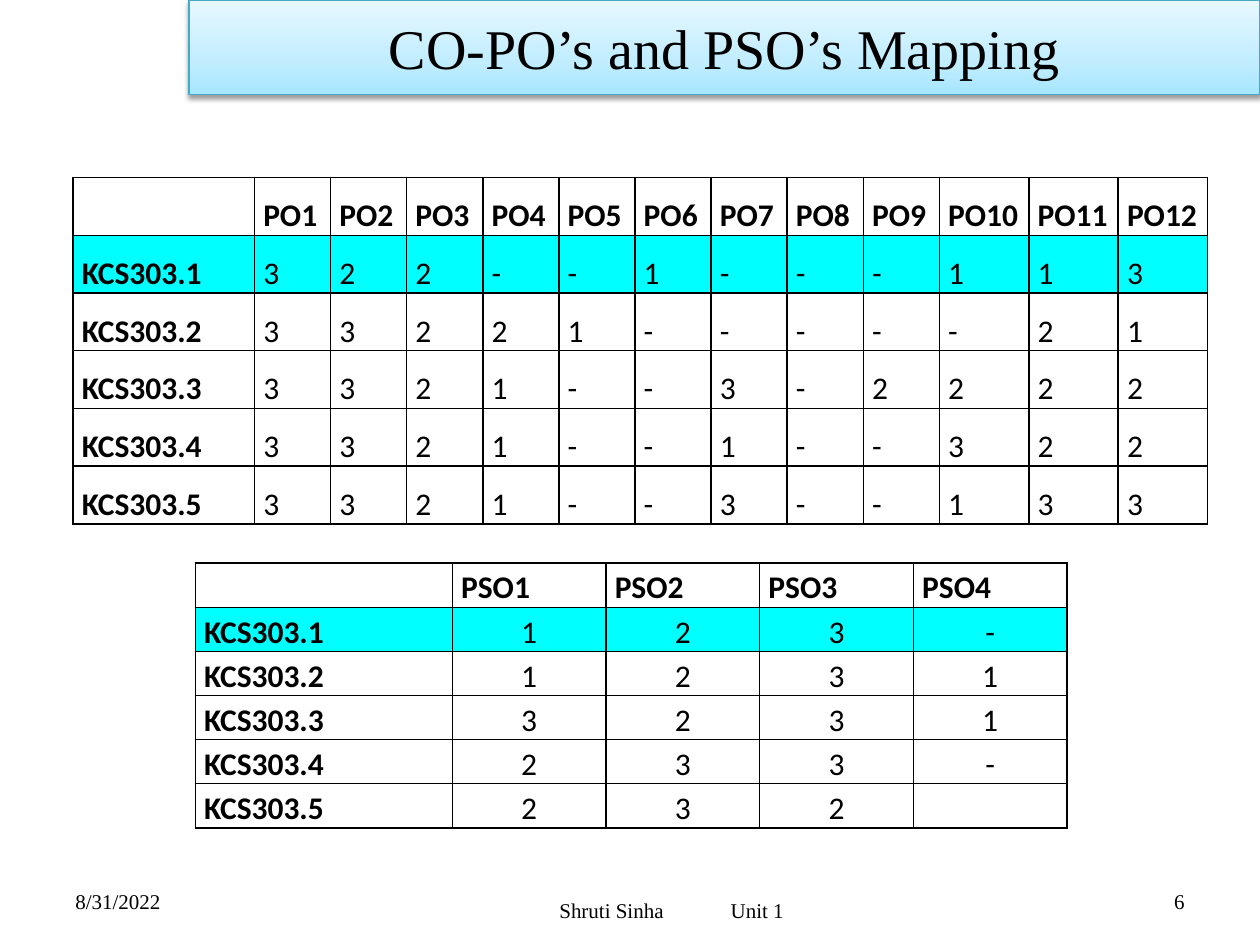
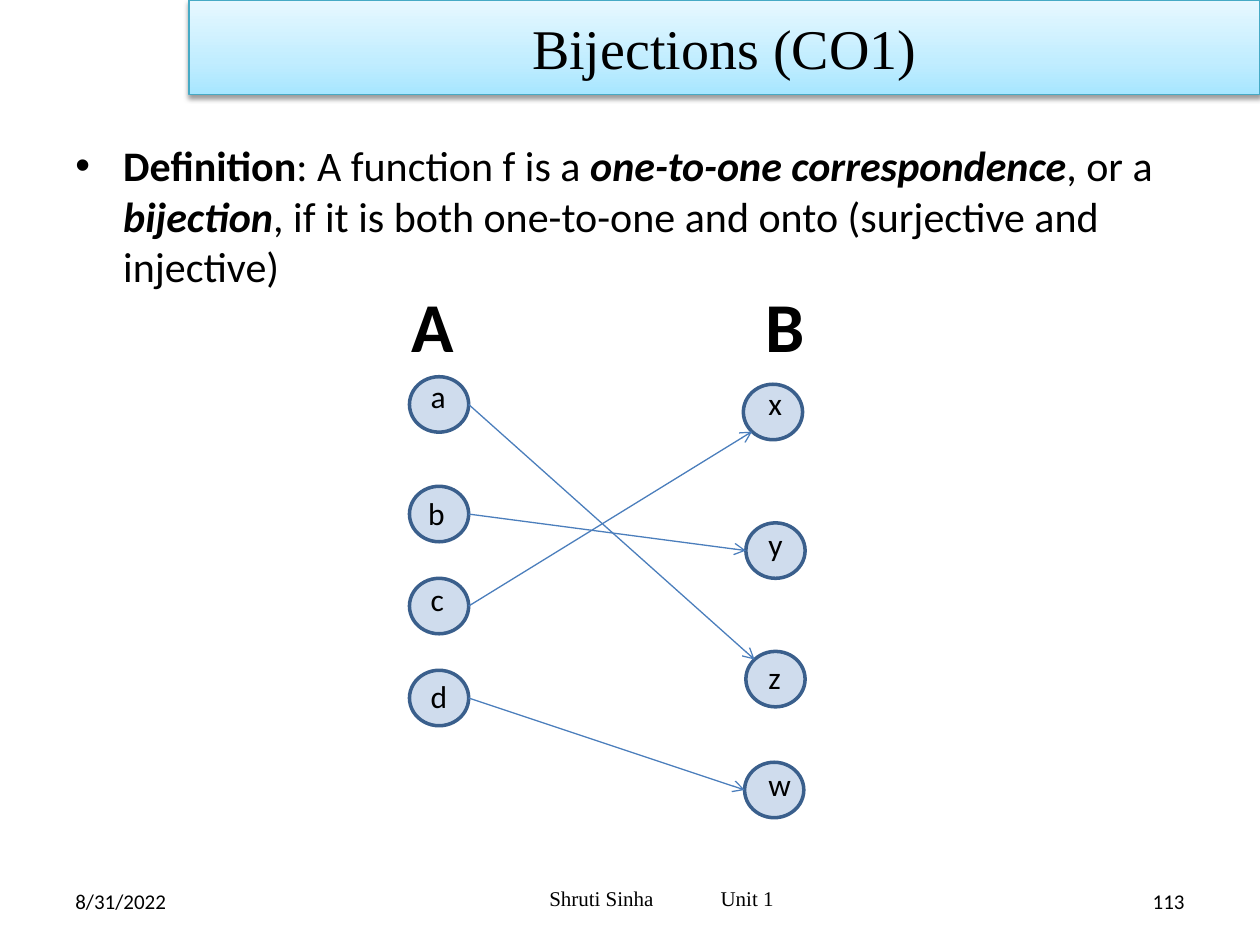
import dataclasses
import math

import lxml.etree
import pptx
import pptx.dml.color
import pptx.enum.shapes
import pptx.enum.text
import pptx.oxml
import pptx.oxml.ns
import pptx.util


@dataclasses.dataclass(frozen=True)
class Theme:
    serif: str = "Times New Roman"
    sans: str = "Calibri"
    title: int = 32
    set_name: int = 40
    body: int = 24
    label: int = 18
    footer: int = 12
    ink: str = "000000"
    highlight: str = "00FFFF"
    band_line: str = "46AAC5"
    band_stops: tuple = ((0, "A7E6FF"), (35, "C1EDFF"), (100, "E7F8FF"))
    node_fill: str = "4F81BD"
    node_line: str = "3A5F8C"
    arrow: str = "4B7EBC"


theme = Theme()
color = pptx.dml.color.RGBColor.from_string
qn = pptx.oxml.ns.qn
subelement = lxml.etree.SubElement
align = pptx.enum.text.PP_ALIGN
middle = pptx.enum.text.MSO_ANCHOR.MIDDLE
shape_type = pptx.enum.shapes.MSO_SHAPE
namespace = 'xmlns:a="http://schemas.openxmlformats.org/drawingml/2006/main"'

presentation = pptx.Presentation()
presentation.slide_width = pptx.util.Inches(10)
presentation.slide_height = pptx.util.Inches(7.5)
column = presentation.slide_width / 100
row = presentation.slide_height / 75


def grid(left, top, width, height):
    return [round(left * column), round(top * row), round(width * column), round(height * row)]


def write(frame, text, size=theme.label, font=theme.sans, bold=False, italic=False,
          alignment=align.LEFT, anchor=None, spacing=None, after=None):
    frame.word_wrap = True
    if anchor is not None:
        frame.vertical_anchor = anchor
    paragraph = frame.paragraphs[0]
    paragraph.alignment = alignment
    if spacing:
        paragraph.line_spacing = spacing
    if after:
        paragraph.space_after = pptx.util.Pt(after)
    run = paragraph.add_run()
    run.text = text
    run.font.size = pptx.util.Pt(size)
    run.font.name = font
    run.font.bold = bold
    run.font.italic = italic
    run.font.color.rgb = color(theme.ink)
    return paragraph


slides = []
for title, number, footer_font, footer_left, footer_top in (
    ("CO-PO’s and PSO’s Mapping", "6", theme.serif, 25.8, 70.2),
    ("Bijections (CO1)", "113", theme.sans, 25, 69.3),
):
    slide = presentation.slides.add_slide(presentation.slide_layouts[6])
    slides.append(slide)

    band = slide.shapes.add_shape(shape_type.RECTANGLE, *grid(15, 0, 85, 7.5))
    band.line.color.rgb = color(theme.band_line)
    band.line.width = pptx.util.Pt(0.75)
    stops = "".join(
        f'<a:gs pos="{position * 1000}"><a:srgbClr val="{shade}"/></a:gs>'
        for position, shade in theme.band_stops
    )
    gradient = pptx.oxml.parse_xml(
        f'<a:gradFill {namespace} rotWithShape="1"><a:gsLst>{stops}</a:gsLst>'
        '<a:lin ang="16200000" scaled="0"/></a:gradFill>'
    )
    properties = band._element.spPr
    properties.find(qn("a:ln")).addprevious(gradient)
    band.shadow.inherit = False
    properties.find(qn("a:effectLst")).append(pptx.oxml.parse_xml(
        f'<a:outerShdw {namespace} blurRad="{pptx.util.Pt(3.1)}" dist="{pptx.util.Pt(1.6)}"'
        f' dir="5400000" rotWithShape="0"><a:srgbClr val="{theme.ink}">'
        '<a:alpha val="38000"/></a:srgbClr></a:outerShdw>'
    ))
    write(band.text_frame, title, size=theme.title, font=theme.serif,
          alignment=align.CENTER, anchor=middle)

    for left, text, alignment in ((5, "8/31/2022", align.LEFT), (71.7, number, align.RIGHT)):
        footer = slide.shapes.add_textbox(*grid(left, 69.5, 23.3, 4))
        write(footer.text_frame, text, size=theme.footer, font=footer_font,
              alignment=alignment, anchor=middle)

    author = slide.shapes.add_textbox(*grid(footer_left, footer_top, 55, 4))
    author.text_frame.margin_left = round(18.6 * column)
    paragraph = write(author.text_frame, "Shruti Sinha\tUnit 1", size=theme.footer,
                      font=theme.serif, anchor=middle)
    tabs = subelement(paragraph._p.get_or_add_pPr(), qn("a:tabLst"))
    subelement(tabs, qn("a:tab"), pos=str(round(13.6 * column)), algn="l")

mapping_slide, bijection_slide = slides

program_outcomes = ("3 2 2 - - 1 - - - 1 1 3", "3 3 2 2 1 - - - - - 2 1",
                    "3 3 2 1 - - 3 - 2 2 2 2", "3 3 2 1 - - 1 - - 3 2 2",
                    "3 3 2 1 - - 3 - - 1 3 3")
specific_outcomes = ("1 2 3 -", "1 2 3 1", "3 2 3 1", "2 3 3 -", "2 3 2")

for prefix, scores, left, top, row_height, widths, spacing, score_alignment in (
    ("PO", program_outcomes, 5.8, 14.1, 4.58, [14.4] + [6.04] * 9 + [7.1] * 3, 1.5, align.LEFT),
    ("PSO", specific_outcomes, 15.5, 44.7, 3.5, [20.4] + [12.2] * 4, 1.15, align.CENTER),
):
    table = mapping_slide.shapes.add_table(
        len(scores) + 1, len(widths), *grid(left, top, sum(widths), row_height * 6)).table
    table.first_row = False
    table.horz_banding = False
    for index, width in enumerate(widths):
        table.columns[index].width = round(width * column)
    lines = [[""] + [f"{prefix}{index}" for index in range(1, len(widths))]]
    lines += [[f"KCS303.{index}"] + score.split() for index, score in enumerate(scores, 1)]
    for row_index, line in enumerate(lines):
        table.rows[row_index].height = round(row_height * row)
        for column_index in range(len(widths)):
            cell = table.cell(row_index, column_index)
            cell.margin_left = cell.margin_right = round(0.7 * column)
            cell.margin_top = cell.margin_bottom = 0
            for side in ("a:lnL", "a:lnR", "a:lnT", "a:lnB"):
                border = subelement(cell._tc.get_or_add_tcPr(), qn(side), w=str(pptx.util.Pt(1)))
                border_fill = subelement(border, qn("a:solidFill"))
                subelement(border_fill, qn("a:srgbClr"), val=theme.ink)
            if row_index == 1:
                cell.fill.solid()
                cell.fill.fore_color.rgb = color(theme.highlight)
            else:
                cell.fill.background()
            heading = row_index == 0 or column_index == 0
            if column_index < len(line) and line[column_index]:
                write(cell.text_frame, line[column_index], bold=heading, spacing=spacing, after=10,
                      alignment=align.LEFT if heading else score_alignment)

definition = bijection_slide.shapes.add_textbox(*grid(5, 10.6, 95, 52.5)).text_frame
bullet = definition.paragraphs[0]._p.get_or_add_pPr()
bullet.set("marL", str(round(3.8 * column)))
bullet.set("indent", str(round(-3.8 * column)))
subelement(bullet, qn("a:buFont"), typeface="Arial")
subelement(bullet, qn("a:buChar"), char="•")
for text, bold, italic in (
    ("Definition", True, False),
    (": A function f is a ", False, False),
    ("one-to-one correspondence", True, True),
    (", or a ", False, False),
    ("bijection", True, True),
    (", if it is both one-to-one and onto (surjective and injective)", False, False),
):
    write(definition, text, size=theme.body, bold=bold, italic=italic)

for name, left in (("A", 31.7), ("B", 59.8)):
    write(bijection_slide.shapes.add_textbox(*grid(left, 21.9, 7.1, 6.8)).text_frame,
          name, size=theme.set_name, bold=True)

node_width, node_height = 4.7, 4.4
nodes = {}
for name, left, top, label_left, label_top in (
    ("a", 32.5, 29.9, 33.2, 29.4),
    ("b", 32.5, 38.6, 33, 38.7),
    ("c", 32.5, 45.9, 33.2, 45.5),
    ("d", 32.5, 53.2, 33.2, 53.2),
    ("x", 59, 30.5, 60, 30),
    ("y", 59.2, 41.5, 60, 41.2),
    ("z", 59.2, 51.7, 60, 51.7),
    ("w", 59.1, 60.5, 60, 60.2),
):
    nodes[name] = (left + node_width / 2, top + node_height / 2)
    node = bijection_slide.shapes.add_shape(
        shape_type.FLOWCHART_CONNECTOR, *grid(left, top, node_width, node_height))
    node.shadow.inherit = False
    node.fill.solid()
    node.fill.fore_color.rgb = color(theme.node_fill)
    tint = node._element.spPr.find(qn("a:solidFill"))[0]
    subelement(tint, qn("a:alpha"), val="27000")
    node.line.color.rgb = color(theme.node_line)
    node.line.width = pptx.util.Pt(2)
    label = bijection_slide.shapes.add_textbox(*grid(label_left, label_top, 3.1, 3.5))
    write(label.text_frame, name)

for source, target, angle in (("a", "z", 225), ("b", "y", 180), ("c", "x", 135), ("d", "w", 180)):
    start_x, start_y = nodes[source]
    end_x, end_y = nodes[target]
    end_x += node_width / 2 * math.cos(math.radians(angle))
    end_y += node_height / 2 * math.sin(math.radians(angle))
    arrow = bijection_slide.shapes.add_connector(
        pptx.enum.shapes.MSO_CONNECTOR.STRAIGHT,
        *grid(start_x + node_width / 2, start_y, end_x, end_y))
    arrow.line.color.rgb = color(theme.arrow)
    arrow.line.width = pptx.util.Pt(0.75)
    subelement(arrow.line._get_or_add_ln(), qn("a:tailEnd"), type="arrow")
    subelement(arrow._element.spPr, qn("a:effectLst"))

presentation.save("out.pptx")
